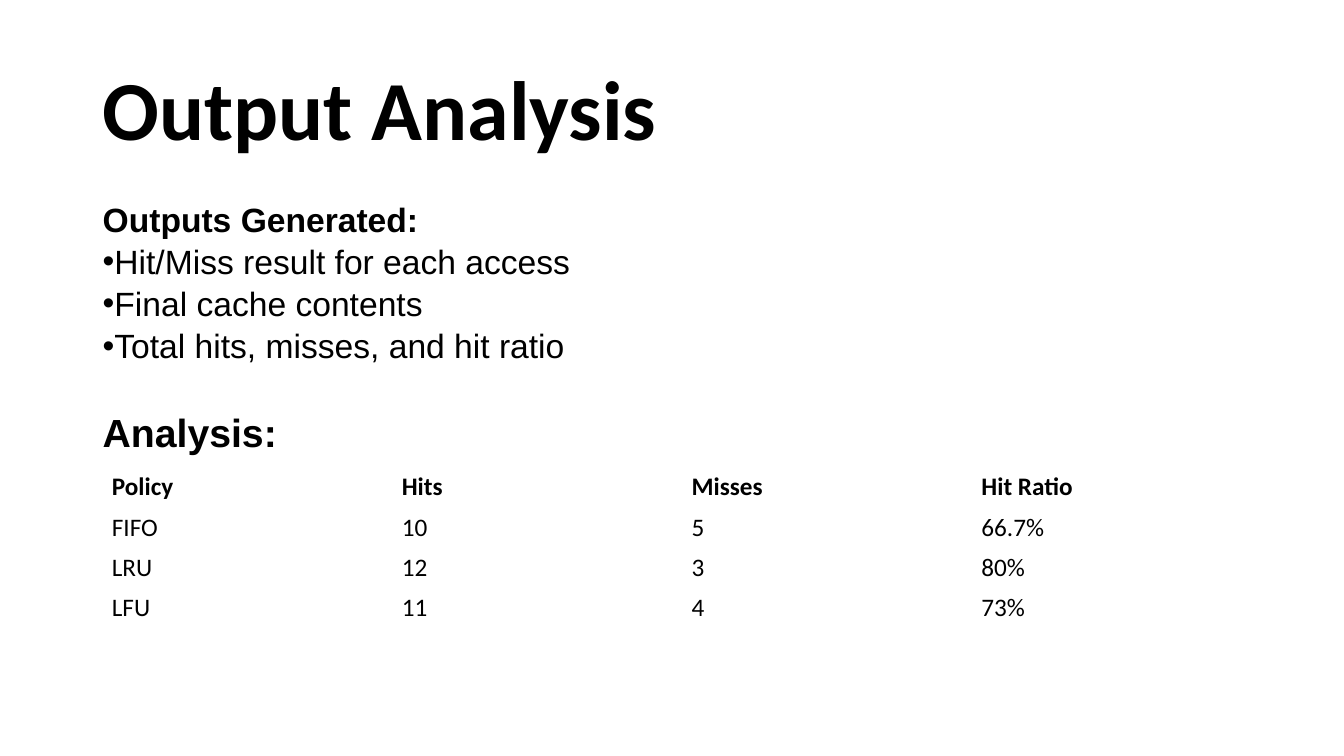
from pptx import Presentation
from pptx.dml.color import RGBColor
from pptx.enum.text import MSO_ANCHOR
from pptx.oxml.ns import qn
from pptx.util import Inches, Pt
from lxml import etree

MIDDLE, TOP = MSO_ANCHOR.MIDDLE, MSO_ANCHOR.TOP
BLACK = RGBColor(0x00, 0x00, 0x00)

# Content
TITLE = "Output Analysis"
LINES = [
    ("Outputs Generated:", "head"),
    ("Hit/Miss result for each access", "item"),
    ("Final cache contents", "item"),
    ("Total hits, misses, and hit ratio", "item"),
    ("Analysis:", "part"),
]
ROWS = [
    ("Policy", "Hits", "Misses", "Hit Ratio"),
    ("FIFO", "10", "5", "66.7%"),
    ("LRU", "12", "3", "80%"),
    ("LFU", "11", "4", "73%"),
]

# Formats
FONTS = {
    "title": {"name": "Calibri", "size": Pt(60), "bold": True},
    "head": {"name": "Arial", "size": Pt(24), "bold": True},
    "item": {"name": "Arial", "size": Pt(24), "bold": False},
    "part": {"name": "Arial", "size": Pt(28), "bold": True},
    "label": {"name": "Calibri", "size": Pt(18), "bold": True},
    "value": {"name": "Calibri", "size": Pt(18), "bold": False},
}
GAPS = {
    "title": {"line_spacing": 0.9},
    "head": {"line_spacing": 1.05},
    "item": {"line_spacing": 1.05},
    "part": {"line_spacing": 1.05, "space_before": Pt(29)},
}


def write(para, text, style):
    run = para.add_run()
    run.text = text
    for key, value in FONTS[style].items():
        setattr(run.font, key, value)
    run.font.color.rgb = BLACK
    for key, value in GAPS.get(style, {}).items():
        setattr(para, key, value)
    if style == "item":
        props = para._p.get_or_add_pPr()
        etree.SubElement(props, qn("a:buFont"), typeface="Arial")
        etree.SubElement(props, qn("a:buChar"), char="•")


def add_text(slide, place, lines, anchor):
    frame = slide.shapes.add_textbox(*map(Inches, place)).text_frame
    frame.word_wrap = True
    frame.vertical_anchor = anchor
    for i, (text, style) in enumerate(lines):
        para = frame.add_paragraph() if i else frame.paragraphs[0]
        write(para, text, style)


def add_grid(slide, place, rows):
    frame = slide.shapes.add_table(len(rows), len(rows[0]), *map(Inches, place))
    table = frame.table
    # Plain table without style or borders
    table.first_row = table.horz_banding = False
    table._tbl.tblPr.find(qn("a:tableStyleId")).text = (
        "{2D5ABB26-0587-4C30-8999-92F81FD0307C}")
    for r, row in enumerate(rows):
        for c, text in enumerate(row):
            cell = table.cell(r, c)
            cell.fill.background()
            cell.vertical_anchor = MIDDLE
            write(cell.text_frame.paragraphs[0], text, "value" if r else "label")


def main():
    deck = Presentation()
    deck.slide_width, deck.slide_height = Inches(13.33), Inches(7.5)
    slide = deck.slides.add_slide(deck.slide_layouts[6])
    add_text(slide, (0.92, 0.4, 11.5, 1.45), [(TITLE, "title")], MIDDLE)
    add_grid(slide, (1.01, 4.63, 11.5, 1.6), ROWS)
    add_text(slide, (0.92, 1.9, 6.78, 2.59), LINES, TOP)
    deck.save("out.pptx")


if __name__ == "__main__":
    main()
